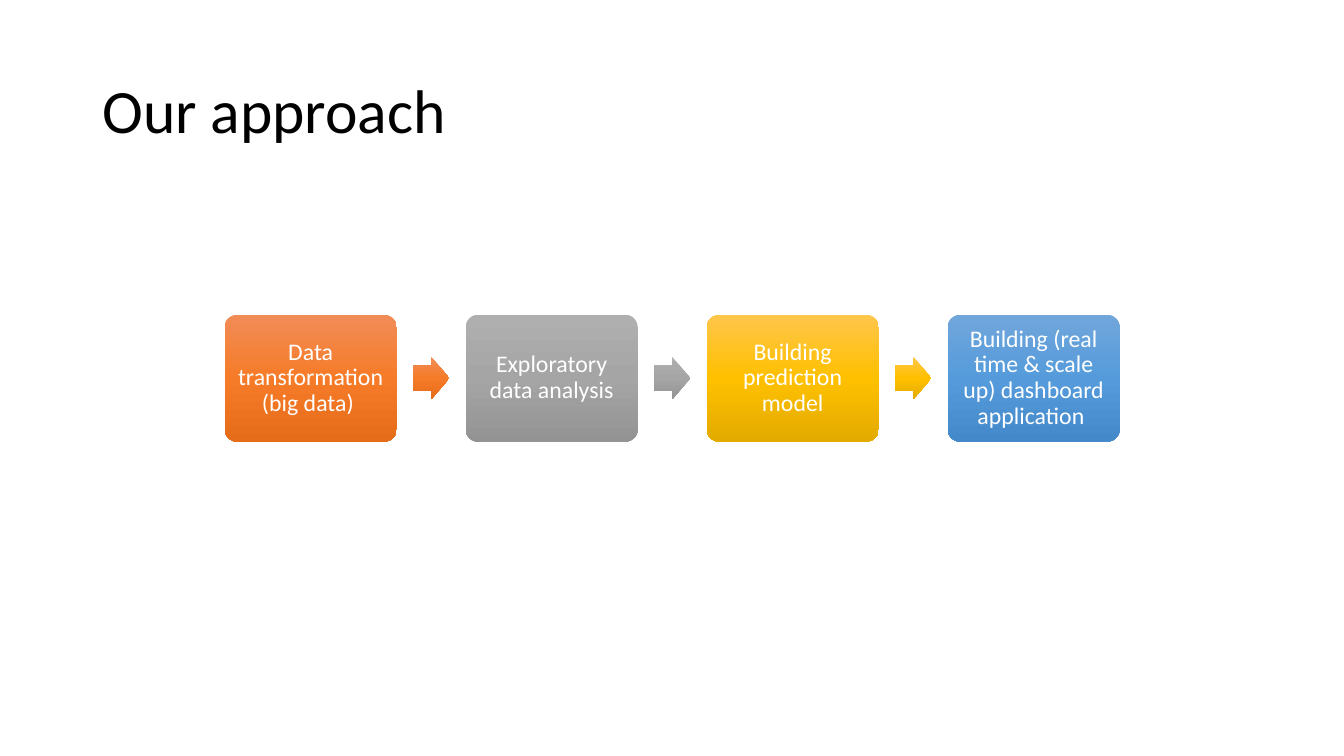
import dataclasses

import lxml.etree
import pptx
import pptx.dml.color
import pptx.enum.shapes
import pptx.enum.text
import pptx.oxml.ns
import pptx.util

Cm = pptx.util.Cm
SHAPES = pptx.enum.shapes.MSO_SHAPE
ALIGN = pptx.enum.text.PP_ALIGN


@dataclasses.dataclass(frozen=True)
class Theme:
    font: str = "Calibri"
    title_size: int = 44
    step_size: int = 17
    title_color: str = "000000"
    step_color: str = "FFFFFF"
    # Top, middle and bottom of each gradient
    orange: tuple = ("F18C57", "F67B28", "E56C19")
    gray: tuple = ("AFAFAF", "A5A5A5", "939393")
    gold: tuple = ("FFC64B", "FFC000", "E3AB00")
    blue: tuple = ("71A6DB", "559BDB", "448ACA")


THEME = Theme()

STEPS = [
    ("Data transformation (big data) ", THEME.orange),
    ("Exploratory data analysis", THEME.gray),
    ("Building prediction model", THEME.gold),
    ("Building (real time & scale up) dashboard application ", THEME.blue),
]


def write_text(shape, text, size, color, align, inset=None):
    """Fill a shape with one vertically centred paragraph."""
    frame = shape.text_frame
    frame.word_wrap = True
    frame.vertical_anchor = pptx.enum.text.MSO_ANCHOR.MIDDLE
    if inset is not None:
        for side in ("left", "top", "right", "bottom"):
            setattr(frame, f"margin_{side}", inset)
    para = frame.paragraphs[0]
    for name, value in {"alignment": align, "line_spacing": 0.9}.items():
        setattr(para, name, value)
    span = para.add_run()
    span.text = text
    font_format = {"name": THEME.font, "size": pptx.util.Pt(size)}
    for name, value in font_format.items():
        setattr(span.font, name, value)
    span.font.color.rgb = pptx.dml.color.RGBColor.from_string(color)


def add_gradient_shape(page, kind, box, adjustments, colors):
    """Add a borderless shape with a three-stop vertical gradient."""
    shape = page.shapes.add_shape(kind, *box)
    shape.shadow.inherit = False
    shape.line.fill.background()
    for index, value in enumerate(adjustments):
        shape.adjustments[index] = value
    shape.fill.gradient()
    shape.fill.gradient_angle = 270

    # Replace the preset stops
    qn = pptx.oxml.ns.qn
    stops = shape.element.spPr.find(f".//{qn('a:gsLst')}")
    for stop in list(stops):
        stops.remove(stop)
    for position, color in zip((0, 50000, 100000), colors):
        stop = lxml.etree.SubElement(stops, qn("a:gs"), pos=str(position))
        lxml.etree.SubElement(stop, qn("a:srgbClr"), val=color)
    return shape


def add_title(page, left, top, width, height):
    box = page.shapes.add_textbox(left, top, width, height)
    write_text(box, "Our approach", THEME.title_size, THEME.title_color, ALIGN.LEFT)


def add_process(page, left, top, width, height):
    """Spread the steps over the box, with an arrow centred in each gap."""
    step_width = Cm(4.34)
    arrow_width, arrow_height = Cm(0.92), Cm(1.07)
    pitch = (width - step_width) // (len(STEPS) - 1)
    arrow_offset = (pitch + step_width - arrow_width) // 2
    arrow_top = top + (height - arrow_height) // 2

    for index, (label, colors) in enumerate(STEPS):
        # Step
        step_left = left + index * pitch
        step = add_gradient_shape(page, SHAPES.ROUNDED_RECTANGLE,
                                  (step_left, top, step_width, height), [0.1], colors)
        write_text(step, label, THEME.step_size, THEME.step_color,
                   ALIGN.CENTER, Cm(0.17))
        # Arrow to the next step
        if index < len(STEPS) - 1:
            arrow_box = (step_left + arrow_offset, arrow_top, arrow_width, arrow_height)
            add_gradient_shape(page, SHAPES.RIGHT_ARROW, arrow_box, [0.6, 0.5], colors)


def main():
    deck = pptx.Presentation()
    deck.slide_width, deck.slide_height = Cm(33.87), Cm(19.05)
    page = deck.slides.add_slide(deck.slide_layouts[6])
    add_title(page, Cm(2.33), Cm(1.01), Cm(29.21), Cm(3.68))
    add_process(page, Cm(5.66), Cm(7.93), Cm(22.56), Cm(3.2))
    deck.save("out.pptx")


if __name__ == "__main__":
    main()
